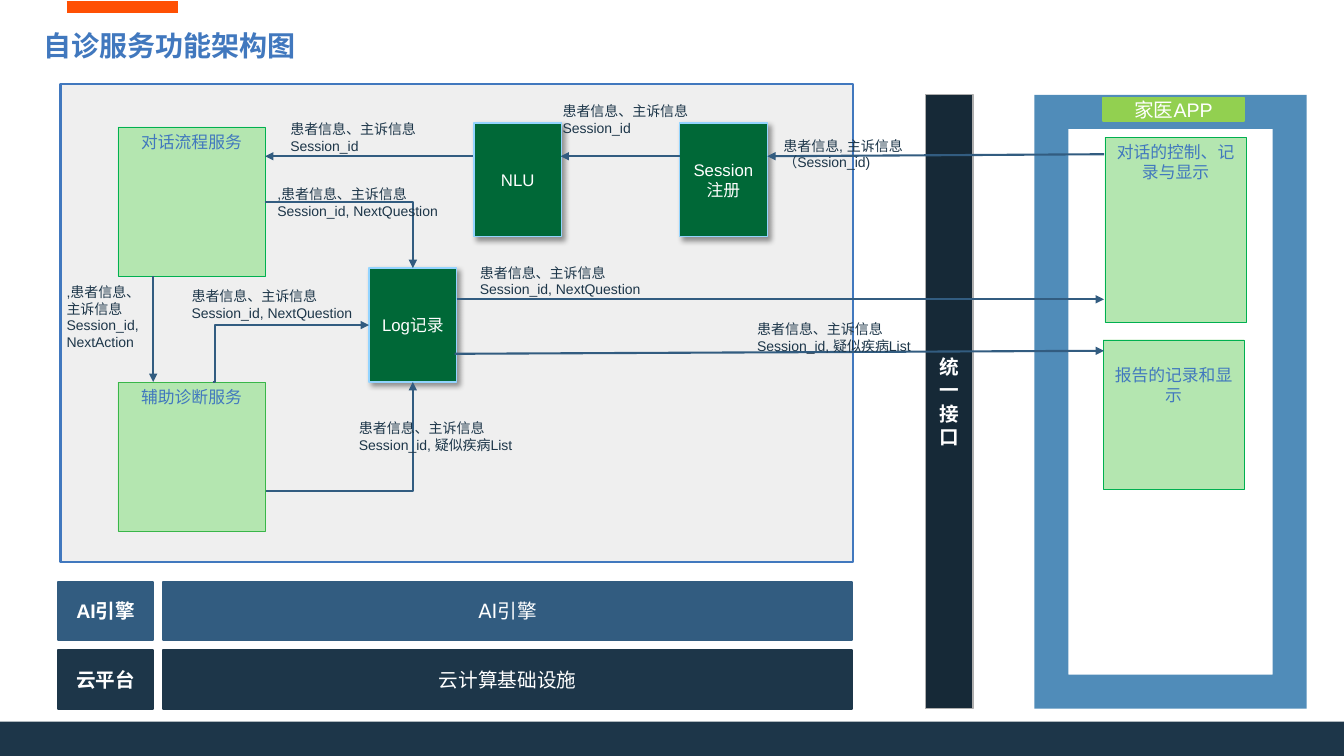
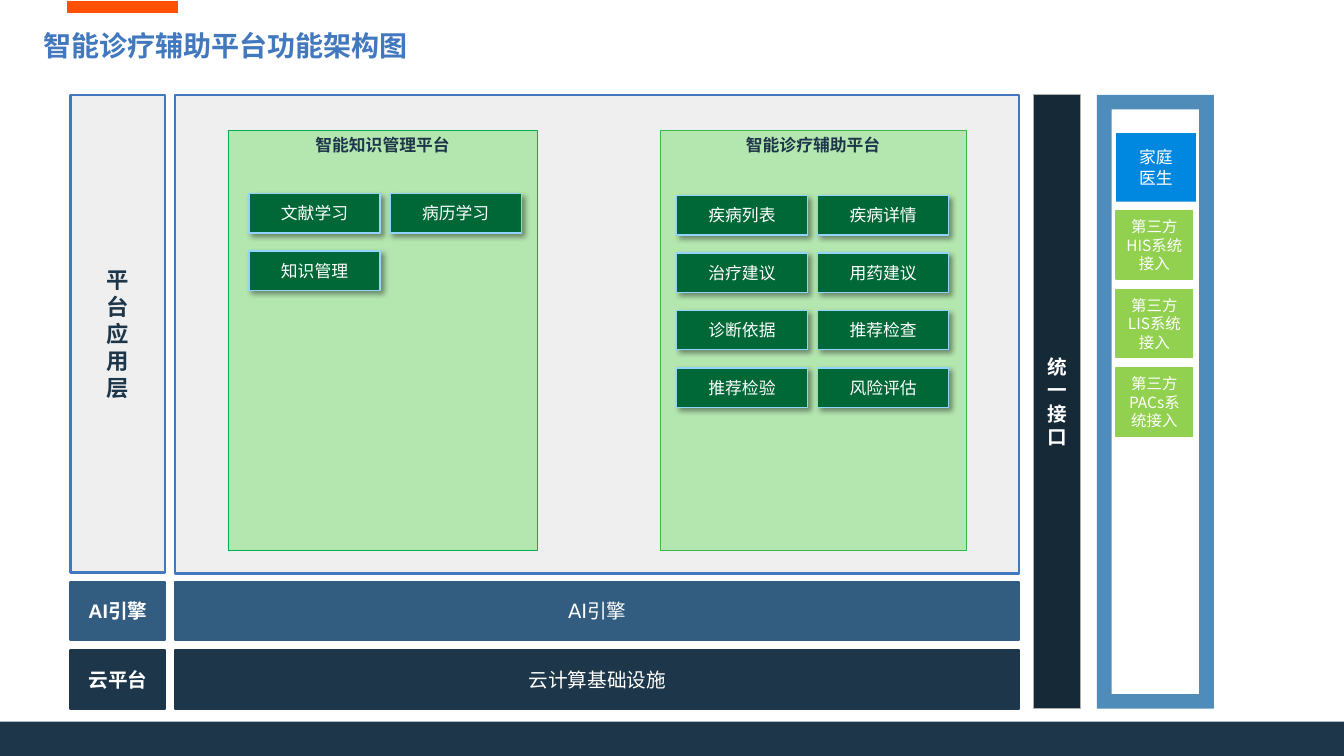
from dataclasses import dataclass, replace

from lxml import etree
from pptx import Presentation
from pptx.dml.color import RGBColor
from pptx.enum.shapes import MSO_CONNECTOR, MSO_SHAPE
from pptx.enum.text import MSO_ANCHOR, MSO_AUTO_SIZE, PP_ALIGN
from pptx.oxml.ns import qn
from pptx.util import Pt

PX = 9144  # EMU per px, 100 px to the inch
RECT, FRAME = MSO_SHAPE.RECTANGLE, MSO_SHAPE.FRAME
STRAIGHT, ELBOW = MSO_CONNECTOR.STRAIGHT, MSO_CONNECTOR.ELBOW
TOP, MIDDLE = MSO_ANCHOR.TOP, MSO_ANCHOR.MIDDLE
LEFT, CENTER = PP_ALIGN.LEFT, PP_ALIGN.CENTER
NO_FIT, GROW = MSO_AUTO_SIZE.NONE, MSO_AUTO_SIZE.SHAPE_TO_FIT_TEXT
SITE_TOP, SITE_LEFT, SITE_BOTTOM, SITE_RIGHT = range(4)


@dataclass(frozen=True)
class Theme:
    navy: str = "1D3649"
    midnight: str = "162937"
    steel: str = "325C80"
    sky: str = "508CB9"
    blue: str = "4178BE"
    bright: str = "0087E0"
    ice: str = "93D4FF"
    orange: str = "FF5004"
    panel: str = "EFEFEF"
    grey: str = "AEAEAE"
    mint: str = "B4E6B0"
    green: str = "00B050"
    leaf: str = "39B649"
    forest: str = "006837"
    lime: str = "92D050"
    white: str = "FFFFFF"
    latin: str = "Arial"
    plain: str = "DejaVu Sans"
    cjk: str = "Noto Sans CJK SC"
    soft: str = "Calibri"
    title: int = 20
    layer: int = 16
    bar: int = 14
    body: int = 12
    small: int = 11
    label: int = 10


T = Theme()


@dataclass(frozen=True)
class Look:
    fill: str
    line: str = ""
    width: float = 1
    font: str = T.latin
    size: int = T.body
    color: str = T.white
    bold: bool = False
    anchor: MSO_ANCHOR = MIDDLE
    shadow: bool = False


PANEL = Look(T.panel, T.blue, 1.5, size=T.layer, color=T.navy, bold=True)
GATEWAY = Look(T.midnight, T.grey, font=T.plain, size=T.bar, bold=True)
APP_FRAME = Look(T.sky)
SERVICE = Look(T.mint, T.green, 0.25, T.plain, color=T.blue, anchor=TOP)
PLATFORM = replace(SERVICE, font=T.cjk, color=T.navy, bold=True)
MODULE = Look(T.forest, T.ice, shadow=True)
APP_NAME = Look(T.lime, T.lime, size=T.bar)
THIRD_PARTY = replace(APP_NAME, font=T.cjk, size=T.small)
DOCTOR = Look(T.bright, font=T.soft)


def px(*values):
    return [value * PX for value in values]


def rgb(code):
    return RGBColor.from_string(code)


def style_text(frame, font, size, color, bold=False, align=LEFT):
    for para in frame.paragraphs:
        para.alignment = align
        para.font.name, para.font.size = font, Pt(size)
        para.font.bold, para.font.color.rgb = bold, rgb(color)


def clear_margins(frame):
    frame.margin_left = frame.margin_top = 0
    frame.margin_right = frame.margin_bottom = 0


def add_shadow(box):
    effects = box.element.spPr.find(qn("a:effectLst"))
    outer = etree.SubElement(
        effects, qn("a:outerShdw"), blurRad=str(Pt(4)), dist=str(Pt(3)),
        dir=str(45 * 60000), algn="tl", rotWithShape="0")
    color = etree.SubElement(outer, qn("a:srgbClr"), val="000000")
    etree.SubElement(color, qn("a:alpha"), val="40000")


def add_box(page, area, look, text="", shape=RECT):
    box = page.shapes.add_shape(shape, *px(*area))
    box.fill.solid()
    box.fill.fore_color.rgb = rgb(look.fill)
    if look.line:
        box.line.color.rgb = rgb(look.line)
        box.line.width = Pt(look.width)
    else:
        box.line.fill.background()
    box.shadow.inherit = False
    if look.shadow:
        add_shadow(box)
    if text:
        frame = box.text_frame
        frame.word_wrap, frame.vertical_anchor = True, look.anchor
        frame.text = text
        style_text(frame, look.font, look.size, look.color, look.bold, CENTER)
    return box


def add_label(page, area, text):
    frame = page.shapes.add_textbox(*px(*area)).text_frame
    clear_margins(frame)
    frame.word_wrap, frame.auto_size = True, GROW
    frame.text = text
    style_text(frame, T.latin, T.label, T.navy)


def add_line(page, ends, color, width, kind=STRAIGHT):
    line = page.shapes.add_connector(kind, *px(*ends))
    line.line.color.rgb = rgb(color)
    line.line.width = Pt(width)
    etree.SubElement(line.element.spPr, qn("a:effectLst"))
    return line


def add_arrow(page, ends, kind=STRAIGHT):
    arrow = add_line(page, ends, T.steel, 1.5, kind)
    etree.SubElement(arrow.element.spPr.find(qn("a:ln")), qn("a:tailEnd"), type="triangle")
    return arrow


def add_elbow(page, ends, target, site, preset="bentConnector2", bend=None):
    arrow = add_arrow(page, ends, ELBOW)
    geometry = arrow.element.spPr.find(qn("a:prstGeom"))
    geometry.set("prst", preset)
    if bend is not None:
        guides = geometry.find(qn("a:avLst"))
        if guides is None:
            guides = etree.SubElement(geometry, qn("a:avLst"))
        etree.SubElement(guides, qn("a:gd"), name="adj1", fmla=f"val {bend}")
    arrow.end_connect(target, site)
    return arrow


def add_page(deck, layout, title):
    page = deck.slides.add_slide(layout)
    frame = page.shapes.title.text_frame
    clear_margins(frame)
    frame.vertical_anchor, frame.auto_size = TOP, NO_FIT
    frame.text = title
    style_text(frame, T.latin, T.title, T.blue, True)
    frame.paragraphs[0].line_spacing = Pt(27.6)
    return page


def prepare_layout(layout):
    """Place the title once for every page."""
    title = next(item for item in layout.placeholders if item.placeholder_format.idx == 0)
    title.left, title.top, title.width, title.height = px(43, 23, 1111, 45)


def share_bands(page, layout):
    """Move the accent and the footer band to the layout."""
    accent = add_line(page, (66, 7, 177, 7), T.orange, 8)
    footer = add_box(page, (0, 716, 1333, 34), Look(T.navy))
    for band in (accent, footer):
        layout.shapes.element.append(band.element)


def add_foundation(page, left, width):
    """Draw the engine and cloud rows: a tag and a wide bar each."""
    rows = (("AI引擎", T.latin, "AI引擎", T.steel),
            ("云平台", T.plain, "云计算基础设施", T.navy))
    for index, (tag, tag_font, text, color) in enumerate(rows):
        top = 577 + 68 * index
        bar = Look(color, color, 1.5, T.plain, T.bar)
        add_box(page, (left, top, 94, 58), replace(bar, font=tag_font, bold=True), tag)
        add_box(page, (left + 104, top, width, 58), bar, text)


def add_access(page, gateway_left, frame_left, frame_width):
    add_box(page, (gateway_left, 94, 47, 609), GATEWAY, "统一接口")
    add_box(page, (frame_left, 94, frame_width, 609), APP_FRAME, shape=FRAME)


def add_modules(page, left, top, names):
    """Lay modules out in two columns."""
    for index, name in enumerate(names):
        row, column = divmod(index, 2)
        add_box(page, (left + 140 * column, top + 57 * row, 130, 39), MODULE, name)


def build_self_diagnosis(page):
    add_box(page, (60, 83, 786, 475), PANEL)
    add_access(page, 918, 1026, 270)
    add_foundation(page, 58, 683)

    # Services and modules
    dialogue = add_box(page, (117, 126, 146, 148), SERVICE, "对话流程服务")
    add_box(page, (117, 379, 146, 148), replace(SERVICE, line=T.leaf), "辅助诊断服务")
    add_box(page, (674, 122, 87, 113), MODULE, "Session\n注册")
    add_box(page, (470, 122, 87, 113), MODULE, "NLU")
    log = add_box(page, (366, 266, 87, 113), MODULE, "Log记录")

    # App screens
    add_box(page, (1096, 136, 140, 184), SERVICE, "对话的控制、记录与显示")
    report = add_box(page, (1094, 337, 140, 148), replace(SERVICE, font=T.cjk), "报告的记录和显示")
    report.text_frame.margin_top = 25 * PX
    add_box(page, (1094, 97, 140, 23), APP_NAME, "家医APP")

    # Message flow
    for ends in ((1095, 153, 761, 155), (674, 155, 556, 155), (469, 155, 263, 155),
                 (453, 297, 1095, 297), (451, 351, 1095, 348), (152, 274, 152, 379)):
        add_arrow(page, ends)
    question = add_elbow(page, (263, 200, 409, 266), log, SITE_TOP)
    question.begin_connect(dialogue, SITE_RIGHT)
    add_elbow(page, (264, 487, 409, 379), log, SITE_BOTTOM)
    add_elbow(page, (211, 379, 366, 323), log, SITE_LEFT, "bentConnector3", 1300)

    # Message contents
    patient = "患者信息、主诉信息\n"
    session, question_text = patient + "Session_id", patient + "Session_id, NextQuestion"
    diseases = patient + "Session_id, 疑似疾病List"
    for area, text in (
            ((777, 136, 318, 34), "患者信息, 主诉信息\n（Session_id)"),
            ((275, 184, 179, 50), "," + question_text),
            ((476, 262, 179, 50), question_text),
            ((751, 318, 179, 34), diseases),
            ((558, 102, 213, 34), session),
            ((288, 120, 213, 34), session),
            ((356, 416, 193, 34), diseases),
            ((66, 281, 79, 101), "," + patient + "Session_id, NextAction"),
            ((190, 285, 179, 50), question_text)):
        add_label(page, area, text)


def build_treatment_platform(page):
    add_box(page, (174, 94, 837, 475), PANEL)
    add_box(page, (70, 94, 94, 474), PANEL, "\n".join("平台应用层"))
    add_access(page, 1025, 1088, 116)
    add_foundation(page, 70, 837)

    # Platforms and their modules
    add_box(page, (226, 129, 307, 417), PLATFORM, "智能知识管理平台")
    add_box(page, (655, 129, 303, 417), replace(PLATFORM, line=T.leaf), "智能诊疗辅助平台")
    add_modules(page, 247, 192, ("文献学习", "病历学习", "知识管理"))
    add_modules(page, 671, 194, ("疾病列表", "疾病详情", "治疗建议", "用药建议",
                                 "诊断依据", "推荐检查", "推荐检验", "风险评估"))

    # Connected systems
    add_box(page, (1107, 132, 79, 68), DOCTOR, "家庭\n医生")
    for index, system in enumerate(("HIS", "LIS", "PACs")):
        add_box(page, (1107, 209 + 78 * index, 76, 68), THIRD_PARTY, f"第三方{system}系统接入")


def main():
    deck = Presentation()
    deck.slide_width, deck.slide_height = px(1333, 750)
    for root in (deck.element, deck.slide_master.element):
        for east_asian in root.iter(qn("a:ea")):
            east_asian.set("typeface", T.cjk)
    layout = deck.slide_layouts.get_by_name("Title Only")
    prepare_layout(layout)

    diagnosis = add_page(deck, layout, "自诊服务功能架构图")
    share_bands(diagnosis, layout)
    build_self_diagnosis(diagnosis)
    build_treatment_platform(add_page(deck, layout, "智能诊疗辅助平台功能架构图"))
    deck.save("out.pptx")


if __name__ == "__main__":
    main()
